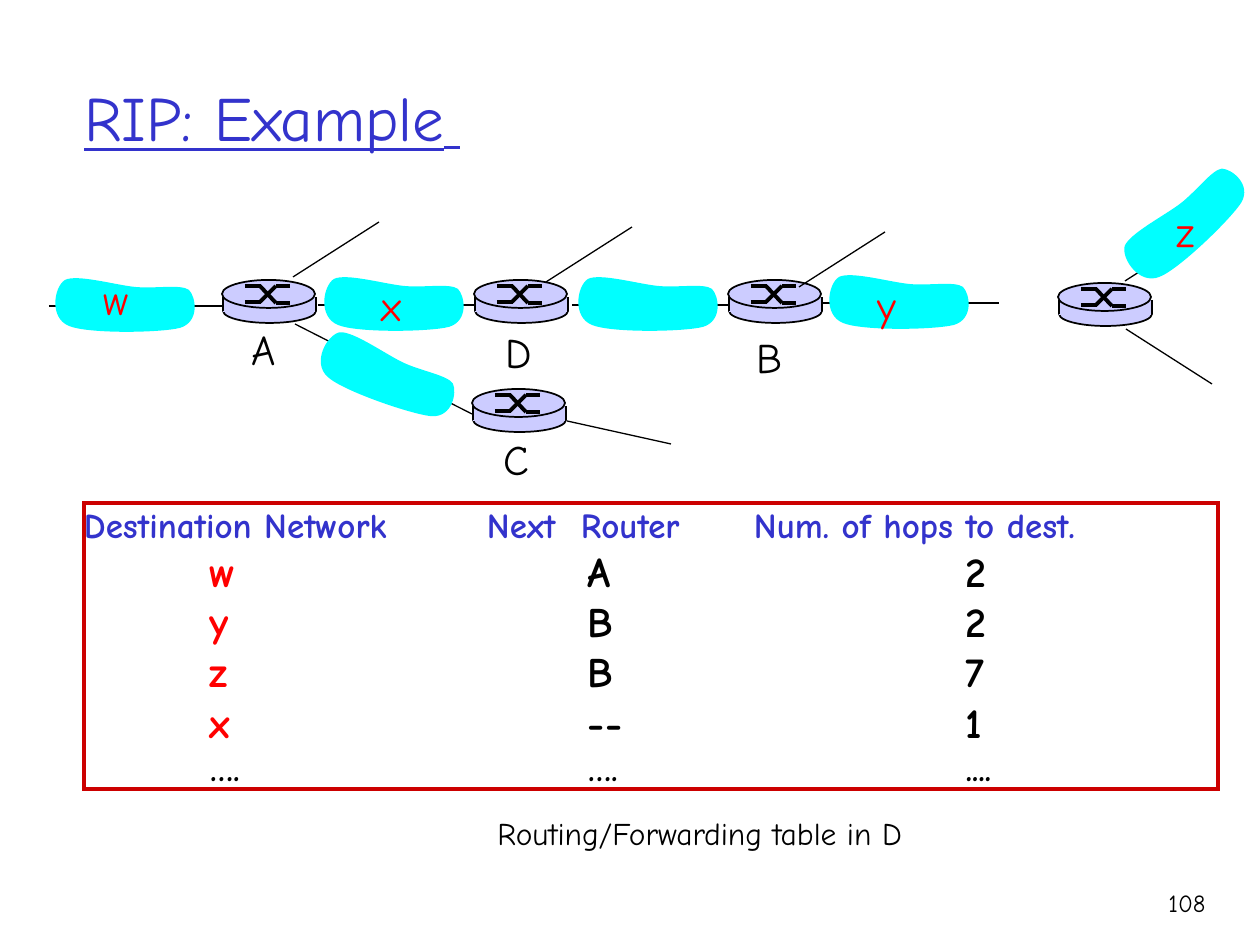
"""Build the RIP example slide: a router chain with its networks and the routing table in D."""
import lxml.etree
import pptx
import pptx.dml.color
import pptx.enum.shapes
import pptx.enum.text
import pptx.oxml.ns
import pptx.util


class Theme:
    font = "Comic Neue"
    blue, red, black = "3333CC", "FF0000", "000000"
    frame, network, router = "CC0000", "00FFFF", "CCCCFF"
    title, title_tail, label, header, caption, number = 36, 28, 24, 20, 18, 14
    thin, normal, thick = 0.75, 1, 2.25


PX = 914400 / 126
rgb = pptx.dml.color.RGBColor.from_string
qn = pptx.oxml.ns.qn
shape_kind = pptx.enum.shapes.MSO_SHAPE
align = pptx.enum.text.PP_ALIGN
anchor = pptx.enum.text.MSO_ANCHOR
auto_size = pptx.enum.text.MSO_AUTO_SIZE


def add_line(shapes, ends, width):
    line = shapes.add_connector(
        pptx.enum.shapes.MSO_CONNECTOR.STRAIGHT, *[round(v * PX) for v in ends]
    )
    line.line.color.rgb = rgb(Theme.black)
    line.line.width = pptx.util.Pt(width)
    lxml.etree.SubElement(line._element.spPr, qn("a:effectLst"))


def add_span(para, text, size, color, bold=False, underline=False):
    span = para.add_run()
    span.text = text
    span.font.name = Theme.font
    span.font.size = pptx.util.Pt(size)
    span.font.color.rgb = rgb(color)
    span.font.bold = bold
    span.font.underline = underline


deck = pptx.Presentation()
deck.slide_width, deck.slide_height = round(1260 * PX), round(945 * PX)
page = deck.slides.add_slide(deck.slide_layouts[6])

title = page.shapes.add_textbox(*[round(v * PX) for v in (72, 37, 1071, 158)])
title.text_frame.word_wrap = True
title.text_frame.vertical_anchor = anchor.MIDDLE
para = title.text_frame.paragraphs[0]
add_span(para, "RIP: Example", Theme.title, Theme.blue, underline=True)
add_span(para, " ", Theme.title_tail, Theme.blue, underline=True)

for left, y in ((49, 306), (318, 305), (572, 305), (823, 303)):
    add_line(page.shapes, (left, y, left + 176, y), Theme.normal)

router_cross = (
    (23, 6, 39, 6), (54, 23, 68, 23), (38, 6, 54, 23),
    (23, 22, 39, 22), (54, 6, 68, 6), (38, 22, 54, 6),
)
for left, top in ((222, 280), (474, 280), (472, 389), (728, 280), (1058, 283)):
    router = page.shapes.add_group_shape()
    for kind, x, y, width, height in (
        (shape_kind.OVAL, 1, 19, 93, 24),
        (shape_kind.RECTANGLE, 1, 17, 92, 15),
        (shape_kind.OVAL, 0, 0, 93, 28),
    ):
        part = router.shapes.add_shape(
            kind, *[round(v * PX) for v in (left + x, top + y, width, height)]
        )
        part.shadow.inherit = False
        part.fill.solid()
        part.fill.fore_color.rgb = rgb(Theme.router)
        if kind == shape_kind.OVAL:
            part.line.color.rgb = rgb(Theme.black)
            part.line.width = pptx.util.Pt(Theme.normal)
        else:
            part.line.fill.background()
    for x in (1, 94):
        add_line(router.shapes, (left + x, top + 17, left + x, top + 31), Theme.normal)
    for x1, y1, x2, y2 in router_cross:
        add_line(router.shapes, (left + x1, top + y1, left + x2, top + y2), Theme.thick)

for x, y in ((293, 277), (546, 282), (799, 287), (1125, 281)):
    add_line(page.shapes, (x, y, x + 86, y - 55), Theme.thin)
for ends in ((1126, 329, 1212, 384), (295, 324, 472, 414), (567, 421, 671, 444)):
    add_line(page.shapes, ends, Theme.thin)

cloud_outline = (
    (86, 13),
    (66, 11), (28, 0), (16, 6),
    (5, 13), (0, 44), (20, 52),
    (39, 60), (111, 59), (131, 54),
    (151, 48), (147, 23), (140, 16),
    (132, 10), (106, 15), (86, 13),
)
for left, top, turn in (
    (318, 273, 0), (312, 345, 19.7), (49, 274, 0),
    (572, 273, 0), (823, 271, 0), (1109, 193, 316.8),
):
    points = [(round((left + x) * PX), round((top + y) * PX)) for x, y in cloud_outline]
    builder = page.shapes.build_freeform(*points[0])
    builder.add_line_segments(points[1:], close=True)
    cloud = builder.convert_to_shape()
    segments = list(cloud._element.iter(qn("a:lnTo")))
    for first in range(0, 15, 3):
        curve = lxml.etree.Element(qn("a:cubicBezTo"))
        segments[first].addprevious(curve)
        for segment in segments[first:first + 3]:
            curve.append(segment[0])
            segment.getparent().remove(segment)
    cloud.rotation = turn
    cloud.shadow.inherit = False
    cloud.fill.solid()
    cloud.fill.fore_color.rgb = rgb(Theme.network)
    cloud.line.fill.background()

for text, left, top, width, height, size, color in (
    ("w", 91, 267, 50, 63, Theme.label, Theme.red),
    ("x", 369, 273, 45, 63, Theme.label, Theme.red),
    ("y", 865, 273, 44, 63, Theme.label, Theme.red),
    ("z", 1164, 199, 43, 63, Theme.label, Theme.red),
    ("A", 239, 317, 49, 63, Theme.label, Theme.black),
    ("C", 491, 427, 50, 63, Theme.label, Theme.black),
    ("D", 493, 320, 52, 63, Theme.label, Theme.black),
    ("B", 744, 325, 50, 63, Theme.label, Theme.black),
    ("Routing/Forwarding table in D", 485, 808, 435, 50, Theme.caption, Theme.black),
):
    label = page.shapes.add_textbox(*[round(v * PX) for v in (left, top, width, height)])
    label.text_frame.word_wrap = False
    label.text_frame.auto_size = auto_size.SHAPE_TO_FIT_TEXT
    add_span(label.text_frame.paragraphs[0], text, size, color)

table_box = page.shapes.add_shape(
    shape_kind.RECTANGLE, *[round(v * PX) for v in (84, 503, 1134, 286)]
)
table_box.shadow.inherit = False
table_box.fill.background()
table_box.line.color.rgb = rgb(Theme.frame)
table_box.line.width = pptx.util.Pt(Theme.thick)
lxml.etree.SubElement(table_box.line._get_or_add_ln(), qn("a:miter"), lim="800000")
frame = table_box.text_frame
frame.margin_left = frame.margin_right = frame.margin_top = frame.margin_bottom = 0
frame.word_wrap = True
frame.vertical_anchor = anchor.TOP

header_tabs, body_tabs = (403, 497, 670), (126, 504, 882)
rows = [(header_tabs, Theme.header, (
    ("Destination Network\tNext\tRouter\tNum. of hops to dest.", Theme.blue),
))]
for network, next_router, hops in (
    ("w", "A", "2"), ("y", "B", "2"), ("z", "B", "7"), ("x", "--", "1"),
):
    rows.append((body_tabs, Theme.label, (
        (f"\t{network}\t", Theme.red), (f"{next_router}\t{hops}", Theme.black),
    )))
rows.append((body_tabs, Theme.header, (("\t….\t….\t....", Theme.black),)))

for index, (tabs, size, spans) in enumerate(rows):
    para = frame.add_paragraph() if index else frame.paragraphs[0]
    para.alignment = align.LEFT
    tab_list = lxml.etree.SubElement(para._p.get_or_add_pPr(), qn("a:tabLst"))
    for position in tabs:
        lxml.etree.SubElement(tab_list, qn("a:tab"), pos=str(round(position * PX)), algn="l")
    for text, color in spans:
        add_span(para, text, size, color, bold=True)

number = page.shapes.add_textbox(*[round(v * PX) for v in (1125, 882, 93, 63)])
number.text_frame.word_wrap = True
para = number.text_frame.paragraphs[0]
para.alignment = align.RIGHT
add_span(para, "108", Theme.number, Theme.black)

deck.save("out.pptx")
